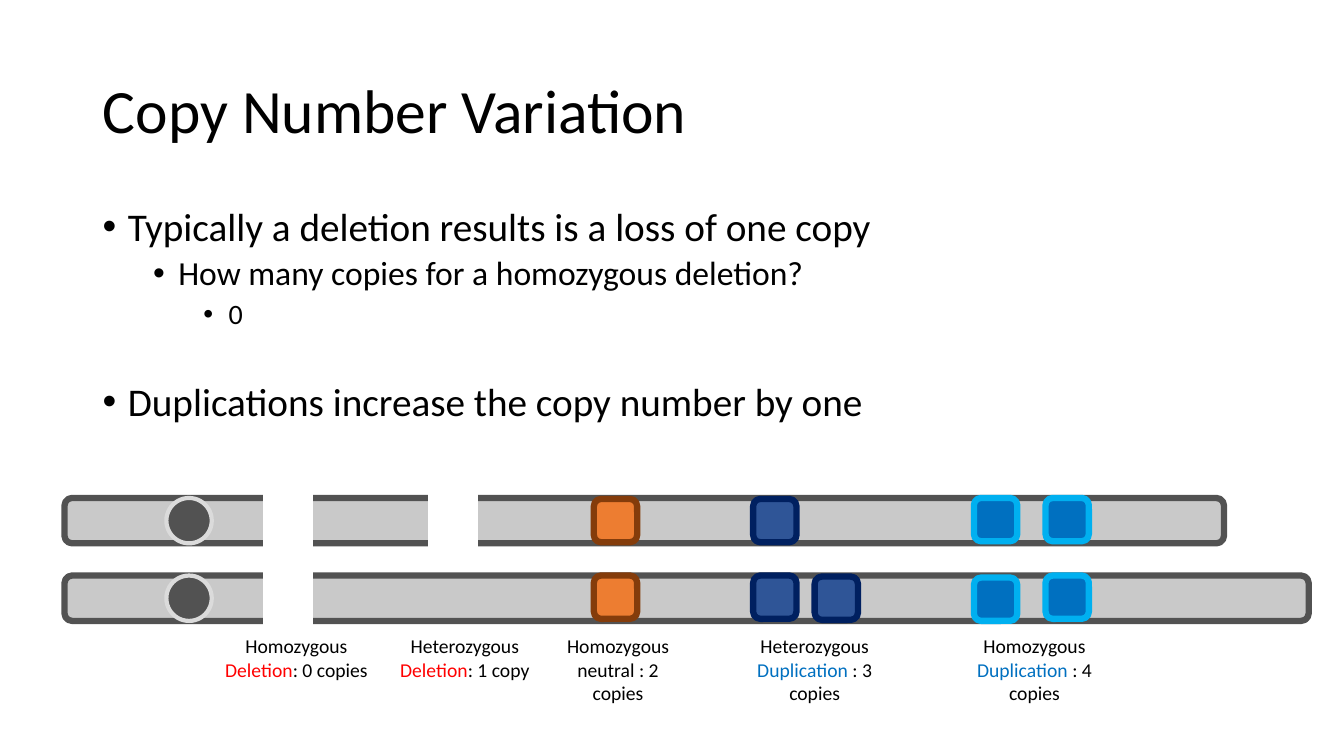
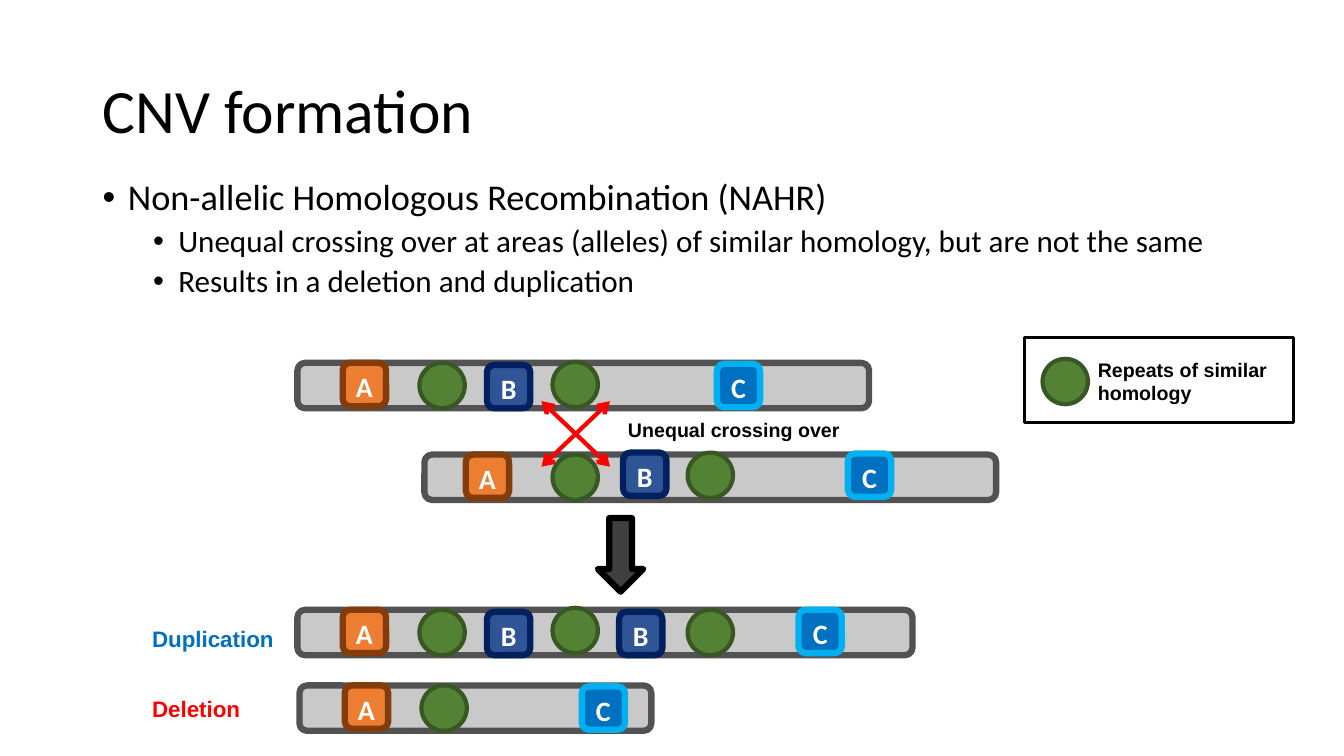
"""Builds two slides on copy number variation and how it forms."""
from lxml import etree
from pptx import Presentation
from pptx.dml.color import RGBColor as RGB
from pptx.enum.shapes import MSO_CONNECTOR as LINK, MSO_SHAPE as FORM
from pptx.enum.text import MSO_ANCHOR as ANCHOR, PP_ALIGN as ALIGN
from pptx.oxml.ns import qn
from pptx.util import Inches, Pt

BLACK, WHITE = RGB(0, 0, 0), RGB(255, 255, 255)
RED, BLUE, SKY = RGB(255, 0, 0), RGB(0, 0x70, 0xC0), RGB(0, 0xB0, 0xF0)
GREY, DARK, PALE = RGB(0xC9, 0xC9, 0xC9), RGB(0x52, 0x52, 0x52), RGB(0xDB, 0xDB, 0xDB)
ORANGE, BROWN = RGB(0xED, 0x7D, 0x31), RGB(0x84, 0x3C, 0x0B)
INDIGO, NAVY = RGB(0x2F, 0x55, 0x97), RGB(0, 0x20, 0x60)
GREEN, MOSS = RGB(0x54, 0x82, 0x35), RGB(0x38, 0x57, 0x23)
COAL = RGB(0x40, 0x40, 0x40)

BAR = 0.45
PARTS = {
    "A": (FORM.ROUNDED_RECTANGLE, 0.43, 0.43, ORANGE, BROWN, 4.5),
    "B": (FORM.ROUNDED_RECTANGLE, 0.43, 0.43, INDIGO, NAVY, 4.5),
    "C": (FORM.ROUNDED_RECTANGLE, 0.43, 0.43, BLUE, SKY, 4.5),
    "repeat": (FORM.OVAL, BAR, BAR, GREEN, MOSS, 3),
    "centre": (FORM.OVAL, BAR, BAR, DARK, PALE, 3),
    "gap": (FORM.RECTANGLE, 0.48, 0.72, WHITE, WHITE, 1),
}

COPY_LIST = [
    (0, "Typically a deletion results is a loss of one copy", 28, 0),
    (1, "How many copies for a homozygous deletion?", 24, 5),
    (2, "0", 20, 5),
    (0, "Duplications increase the copy number by one", 28, 37),
]
FORM_LIST = [
    (0, "Non-allelic Homologous Recombination (NAHR)", 25.9, 0),
    (1, "Unequal crossing over at areas (alleles) of similar homology, "
        "but are not the same", 22.2, 5),
    (1, "Results in a deletion and duplication", 22.2, 5),
]

COPY_ROWS = [
    (0.64, 4.94, 11.5, [("centre", 1.65, 0), ("gap", 2.62, -0.12), ("gap", 4.25, -0.12),
                        ("A", 5.89, 0.01), ("B", 7.47, 0.01), ("C", 9.66, 0),
                        ("C", 10.37, 0)]),
    (0.64, 5.71, 12.34, [("centre", 1.65, 0), ("gap", 2.62, -0.12), ("A", 5.89, 0),
                         ("B", 7.47, 0), ("B", 8.08, 0.01), ("C", 9.66, 0.02),
                         ("C", 10.37, 0)]),
]
FORM_ROWS = [
    (2.95, 3.6, 5.67, [("A", 3.4, 0), ("repeat", 4.16, 0), ("B", 4.83, 0.02),
                       ("repeat", 5.48, -0.01), ("C", 7.11, 0.01)]),
    (4.21, 4.51, 5.67, [("A", 4.62, 0), ("repeat", 5.48, 0), ("B", 6.18, -0.02),
                        ("repeat", 6.82, -0.02), ("C", 8.41, -0.01)]),
    (2.95, 6.05, 6.1, [("A", 3.4, 0), ("repeat", 4.16, 0), ("B", 4.83, 0.02),
                       ("repeat", 5.48, -0.02), ("B", 6.14, 0.02),
                       ("repeat", 6.82, 0), ("C", 7.92, 0)]),
    (2.97, 6.8, 3.49, [("A", 3.42, 0), ("repeat", 4.18, 0), ("C", 5.77, 0.01)]),
]

COUNTS = [
    (2.03, 1.82, 0.57, [("Homozygous ", BLACK), ("Deletion", RED), (": 0 copies", BLACK)]),
    (3.85, 1.52, 0.57, [("Heterozygous ", BLACK), ("Deletion", RED), (": 1 copy", BLACK)]),
    (5.37, 1.52, 0.81, [("Homozygous neutral : 2 copies", BLACK)]),
    (7.32, 1.52, 0.81, [("Heterozygous ", BLACK), ("Duplication", BLUE),
                        (" : 3 copies", BLACK)]),
    (9.5, 1.52, 0.81, [("Homozygous ", BLACK), ("Duplication", BLUE),
                       (" : 4 copies", BLACK)]),
]
LABELS = [
    ((6.13, 4.1, 3.23, 0.34), "Unequal crossing over", 14, BLACK),
    ((1.41, 6.15, 1.42, 0.37), "Duplication", 16, BLUE),
    ((1.41, 6.85, 1.42, 0.37), "Deletion", 16, RED),
    ((10.79, 3.5, 2.07, 0.57), "Repeats of similar homology", 14, BLACK),
]
CROSS = [(6.05, 3.98, 5.37, 4.63), (6.05, 4.63, 5.37, 3.98)]


def style(para, size, color=BLACK, face="Calibri", bold=False):
    """Set the font of a whole paragraph."""
    font = para.font
    font.name, font.size, font.bold = face, Pt(size), bold
    font.color.rgb = color


def add_box(slide, spot):
    """Add a wrapping text box and return its frame."""
    frame = slide.shapes.add_textbox(*map(Inches, spot)).text_frame
    frame.word_wrap = True
    return frame


def add_form(slide, form, spot, fill, edge, width):
    """Add a flat shape with the given fill and outline."""
    shape = slide.shapes.add_shape(form, *map(Inches, spot))
    shape.shadow.inherit = False
    if fill is None:
        shape.fill.background()
    else:
        shape.fill.solid()
        shape.fill.fore_color.rgb = fill
    shape.line.color.rgb = edge
    shape.line.width = Pt(width)
    return shape


def add_part(slide, kind, left, top, named=False):
    """Add a part of a chromosome, with its letter if named."""
    form, wide, high, fill, edge, width = PARTS[kind]
    shape = add_form(slide, form, (left, top, wide, high), fill, edge, width)
    if named:
        frame = shape.text_frame
        frame.margin_left = frame.margin_right = frame.margin_bottom = 0
        frame.margin_top = Inches(0.04)
        frame.vertical_anchor = ANCHOR.MIDDLE
        para = frame.paragraphs[0]
        para.text, para.alignment = kind, ALIGN.CENTER
        style(para, 20, WHITE, bold=True)


def add_rows(slide, rows, named=False):
    """Draw each chromosome bar and the parts on it."""
    for left, top, wide, parts in rows:
        add_form(slide, FORM.ROUNDED_RECTANGLE, (left, top, wide, BAR), GREY, DARK, 4.5)
        for kind, x, drop in parts:
            add_part(slide, kind, x, top + drop, named and kind in "ABC")


def add_list(slide, spot, items):
    """Add a bulleted list with levels."""
    frame = add_box(slide, spot)
    for i, (level, text, size, before) in enumerate(items):
        para = frame.add_paragraph() if i else frame.paragraphs[0]
        para.text, para.level = text, level
        para.line_spacing, para.space_before = 0.9, Pt(before)
        props = para._p.get_or_add_pPr()
        props.set("marL", str(Inches(0.25 + 0.5 * level)))
        props.set("indent", str(Inches(-0.25)))
        etree.SubElement(props, qn("a:buFont")).set("typeface", "Arial")
        etree.SubElement(props, qn("a:buChar")).set("char", "•")
        style(para, size)


def add_arrow(slide, ends):
    """Add a red line with a head at both ends."""
    link = slide.shapes.add_connector(LINK.STRAIGHT, *map(Inches, ends))
    link.line.color.rgb, link.line.width = RED, Pt(3)
    line = link.line._get_or_add_ln()
    for tag in ("a:headEnd", "a:tailEnd"):
        etree.SubElement(line, qn(tag)).set("type", "arrow")
    etree.SubElement(link._element.spPr, qn("a:effectLst"))


def add_slide(deck, text):
    """Add a slide with the shared title style."""
    slide = deck.slides.add_slide(deck.slide_layouts[5])
    title = slide.shapes.title
    title.left, title.top, title.width, title.height = map(Inches, (0.92, 0.4, 11.5, 1.45))
    title.text_frame.vertical_anchor = ANCHOR.MIDDLE
    para = title.text_frame.paragraphs[0]
    para.text, para.alignment, para.line_spacing = text, ALIGN.LEFT, 0.9
    style(para, 44)
    return slide


def build_copy(deck):
    """Build the slide on copy counts."""
    slide = add_slide(deck, "Copy Number Variation")
    add_list(slide, (0.92, 2.01, 11.5, 2.5), COPY_LIST)
    add_rows(slide, COPY_ROWS)
    for left, wide, high, runs in COUNTS:
        para = add_box(slide, (left, 6.24, wide, high)).paragraphs[0]
        para.alignment = ALIGN.CENTER
        style(para, 14)
        for text, color in runs:
            run = para.add_run()
            run.text = text
            run.font.color.rgb = color


def build_form(deck):
    """Build the slide on unequal crossing over."""
    slide = add_slide(deck, "CNV formation")
    add_list(slide, (0.92, 1.73, 11.5, 1.31), FORM_LIST)
    add_form(slide, FORM.RECTANGLE, (10.16, 3.35, 2.67, 0.84), None, BLACK, 2.25)
    add_part(slide, "repeat", 10.34, 3.56)
    add_rows(slide, FORM_ROWS, True)
    for ends in CROSS:
        add_arrow(slide, ends)
    add_form(slide, FORM.DOWN_ARROW, (5.93, 5.14, 0.45, 0.73), COAL, BLACK, 4.5)
    for spot, text, size, color in LABELS:
        para = add_box(slide, spot).paragraphs[0]
        para.text = text
        style(para, size, color, "Arial", True)


def main():
    """Build and save the deck."""
    deck = Presentation()
    deck.slide_width, deck.slide_height = Inches(13.33), Inches(7.5)
    build_copy(deck)
    build_form(deck)
    deck.save("out.pptx")


if __name__ == "__main__":
    main()
